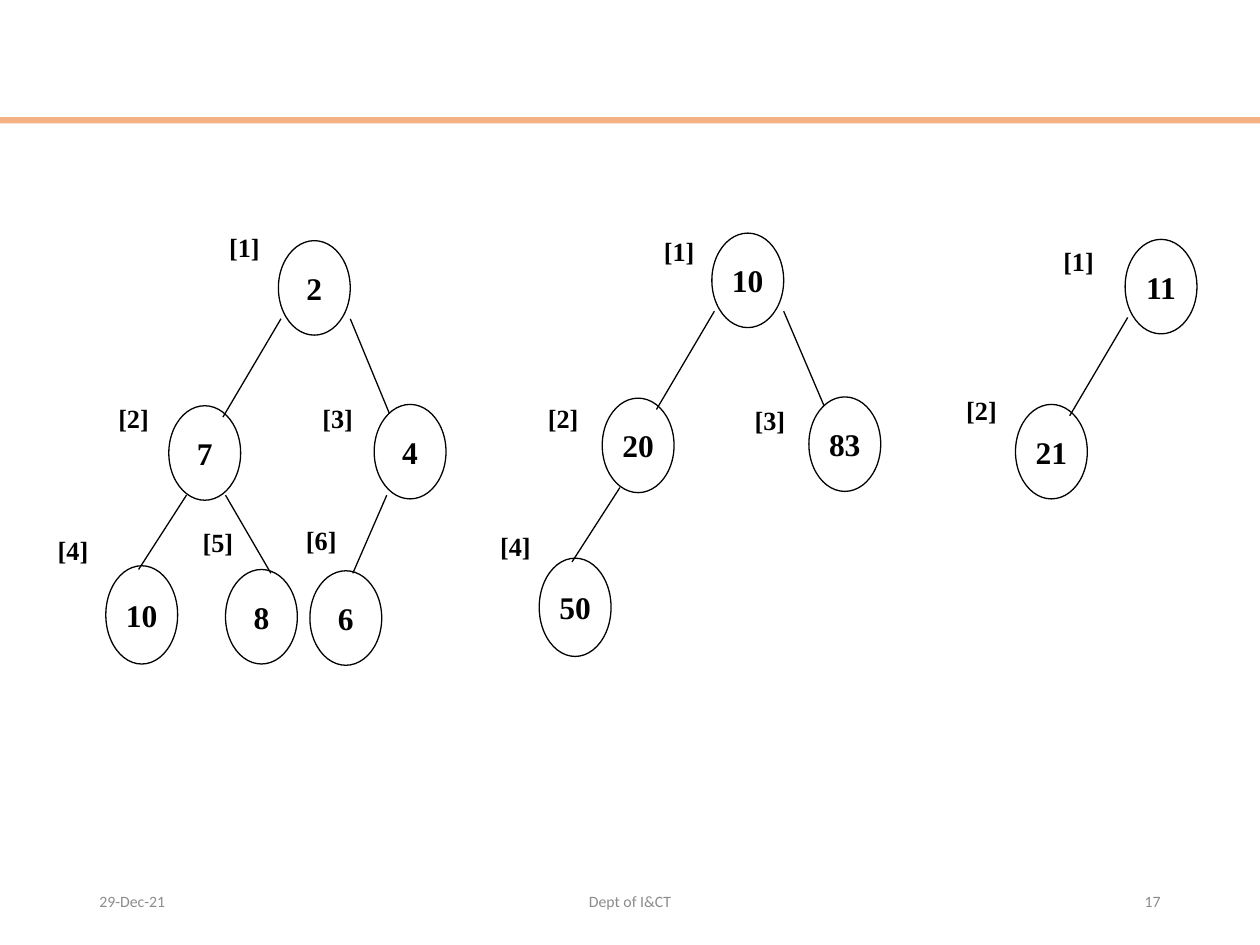
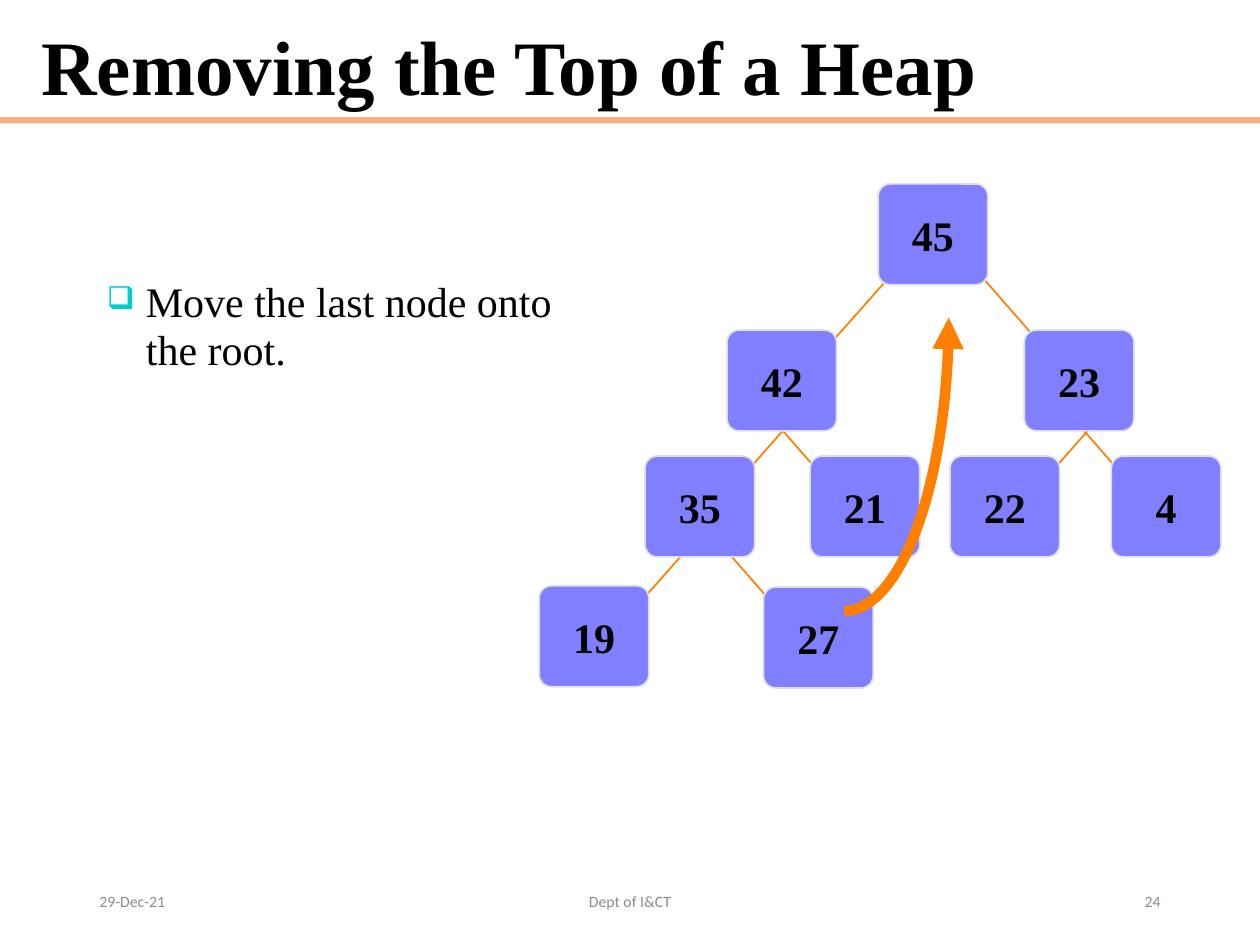
"""Build two slides about heaps: three leftist trees and removing the top node."""
import math

from lxml import etree
from pptx import Presentation
from pptx import util as u
from pptx.dml import color
from pptx.enum import shapes, text
from pptx.oxml import ns

COLS, ROWS = 100, 75
SERIF, SANS = "Times New Roman", "Calibri"
BLACK, GREY, BAND = "000000", "8C8C8C", "F4B183"
ORANGE, VIOLET, PALE, TEAL = "FF8000", "8080FF", "E0E0E0", "00CECE"
LEFT, CENTER, RIGHT = text.PP_ALIGN.LEFT, text.PP_ALIGN.CENTER, text.PP_ALIGN.RIGHT
TOP, MIDDLE = text.MSO_ANCHOR.TOP, text.MSO_ANCHOR.MIDDLE
OVAL, ROUNDED = shapes.MSO_SHAPE.OVAL, shapes.MSO_SHAPE.ROUNDED_RECTANGLE


def rgb(value):
    return color.RGBColor.from_string(value)


class Deck:
    """Holds the shared style and the current slide."""

    def __init__(self):
        self.prs = Presentation()
        self.prs.slide_width, self.prs.slide_height = u.Inches(10), u.Inches(7.5)

    def x(self, cols):
        return round(self.prs.slide_width * cols / COLS)

    def y(self, rows):
        return round(self.prs.slide_height * rows / ROWS)

    def box(self, left, top, width, height):
        return self.x(left), self.y(top), self.x(width), self.y(height)

    def slide(self, number, title=None):
        self.s = self.prs.slides.add_slide(self.prs.slide_layouts[6])
        self.shape(shapes.MSO_SHAPE.RECTANGLE, (0, 9.3, 100, 0.5), fill=BAND)
        if title:
            self.label((2.3, 1.4, 85, 8.2), title, 44, bold=True, anchor=MIDDLE, spacing=0.95)
        footers = [(6.9, 22.5, "29-Dec-21", LEFT), (33.1, 33.8, "Dept of I&CT", CENTER),
                   (70.6, 22.5, number, RIGHT)]
        for left, width, words, align in footers:
            self.label((left, 69.5, width, 4), words, 9, SANS, GREY, align=align, anchor=MIDDLE)

    def typeset(self, tf, words, size, font=SERIF, ink=BLACK, bold=False,
                align=LEFT, anchor=TOP, spacing=None):
        tf.text = words
        tf.vertical_anchor = anchor
        p = tf.paragraphs[0]
        p.alignment = align
        p.line_spacing = spacing
        r = p.runs[0]
        r.font.name, r.font.size, r.font.bold = font, u.Pt(size), bold
        r.font.color.rgb = rgb(ink)
        return p

    def label(self, area, words, size, *args, **style):
        tf = self.s.shapes.add_textbox(*self.box(*area)).text_frame
        tf.word_wrap = True
        return self.typeset(tf, words, size, *args, **style)

    def bullet(self, area, words, size):
        pPr = self.label(area, words, size, spacing=0.95)._p.get_or_add_pPr()
        pPr.set("marL", str(self.x(3.1)))
        pPr.set("indent", str(-self.x(3.1)))
        tint = etree.SubElement(pPr, ns.qn("a:buClr"))
        etree.SubElement(tint, ns.qn("a:srgbClr"), val=TEAL)
        etree.SubElement(pPr, ns.qn("a:buSzPct"), val="75000")
        etree.SubElement(pPr, ns.qn("a:buChar"), char="❑")

    def paint(self, sp, fill=None, line=None, weight=0.75):
        sp.shadow.inherit = False
        if fill:
            sp.fill.solid()
            sp.fill.fore_color.rgb = rgb(fill)
        else:
            sp.fill.background()
        if line:
            sp.line.color.rgb = rgb(line)
            sp.line.width = u.Pt(weight)
        else:
            sp.line.fill.background()

    def shape(self, kind, area, **look):
        sp = self.s.shapes.add_shape(kind, *self.box(*area))
        self.paint(sp, **look)
        return sp

    def node(self, kind, area, words, size, **look):
        sp = self.shape(kind, area, **look)
        if kind == ROUNDED:
            sp.adjustments[0] = 0.12
        tf = sp.text_frame
        tf.word_wrap = False
        tf.margin_left = tf.margin_right = tf.margin_top = tf.margin_bottom = 0
        self.typeset(tf, words, size, bold=True, align=CENTER, anchor=MIDDLE)

    def edge(self, start, end, ink, weight):
        sp = self.s.shapes.add_connector(
            shapes.MSO_CONNECTOR.STRAIGHT,
            self.x(start[0]), self.y(start[1]), self.x(end[0]), self.y(end[1]))
        sp.line.color.rgb = rgb(ink)
        sp.line.width = u.Pt(weight)
        etree.SubElement(sp._element.spPr, ns.qn("a:effectLst"))

    def arc_arrow(self, left, top, width, height, steps=30):
        turns = [math.pi / 2 * i / steps for i in range(steps + 1)]
        points = [(self.x(left + width * math.sin(a)), self.y(top + height * math.cos(a)))
                  for a in turns]
        builder = self.s.shapes.build_freeform(*points[0])
        builder.add_line_segments(points[1:], close=False)
        sp = builder.convert_to_shape()
        self.paint(sp, line=ORANGE, weight=6)
        ln = sp._element.spPr.find(ns.qn("a:ln"))
        etree.SubElement(ln, ns.qn("a:tailEnd"), type="triangle")


def shift(point, offset):
    return point[0] + offset[0], point[1] + offset[1]


TREES = [
    {1: ("2", 22.1, 19.1, 17.2, 17.9), 2: ("7", 13.4, 32.2, 8.4, 31.4),
     3: ("4", 29.7, 32.1, 24.6, 31.4), 4: ("10", 8.4, 44.9, 3.6, 41.9),
     5: ("8", 17.9, 45.2, 15.1, 41.3), 6: ("6", 24.6, 45.3, 23.3, 41.1)},
    {1: ("10", 56.5, 18.5, 51.7, 18.2), 2: ("20", 47.8, 31.6, 42.5, 31.4),
     3: ("83", 64.2, 31.5, 58.9, 31.6), 4: ("50", 42.8, 44.3, 38.7, 41.6)},
    {1: ("11", 89.3, 19, 83.4, 19), 2: ("21", 80.6, 32.1, 75.7, 30.8)},
]
EDGE_ENDS = {
    2: ((0.2, 6.2), (4.3, 0.9)), 3: ((5.7, 6.2), (1.2, 0.7)),
    4: ((1.4, 7.1), (2.6, 0.3)), 5: ((4.5, 7.1), (3.6, 0.3)),
    6: ((1, 7.2), (3.4, 0.2)),
}
HEAP = {1: ("45", 69.7, 14.6), 2: ("42", 57.7, 26.2), 3: ("23", 81.3, 26.2),
        4: ("35", 51.2, 36.2), 5: ("21", 64.3, 36.2), 6: ("22", 75.4, 36.2),
        7: ("4", 88.2, 36.2), 8: ("19", 42.8, 46.5), 9: ("27", 60.6, 46.6)}


def trees_slide(deck):
    deck.slide("17")
    for tree in TREES:
        for index, (key, left, top, label_left, label_top) in tree.items():
            height = 7.8 if index == 4 else 7.5
            deck.node(OVAL, (left, top, 5.7, height), key, 18, line=BLACK)
            deck.label((label_left, label_top, 6.5, 6.6), f"[{index}]", 15, bold=True)
            if index > 1:
                out, into = EDGE_ENDS[index]
                deck.edge(shift(tree[index // 2][1:3], out), shift((left, top), into),
                          BLACK, 0.75)


def heap_slide(deck):
    deck.slide("24", "Removing the Top of a Heap")
    deck.bullet((7.5, 21.7, 39, 40.7), "Move the last node onto the root.", 24)
    for index, (key, left, top) in HEAP.items():
        if index > 1:
            into, run = ((2.2, 3), -6.1) if index % 2 else ((6.5, 3), 6.2)
            if index == 3:
                into = (2.5, 2.5)
            end = shift((left, top), into)
            deck.edge(shift(end, (run, -7)), end, ORANGE, 1)
    for key, left, top in HEAP.values():
        deck.node(ROUNDED, (left, top, 8.7, 8), key, 24, fill=VIOLET, line=PALE, weight=1)
    deck.arc_arrow(67, 25.2, 8.3, 23.3)


def main():
    deck = Deck()
    trees_slide(deck)
    heap_slide(deck)
    deck.prs.save("out.pptx")


if __name__ == "__main__":
    main()
